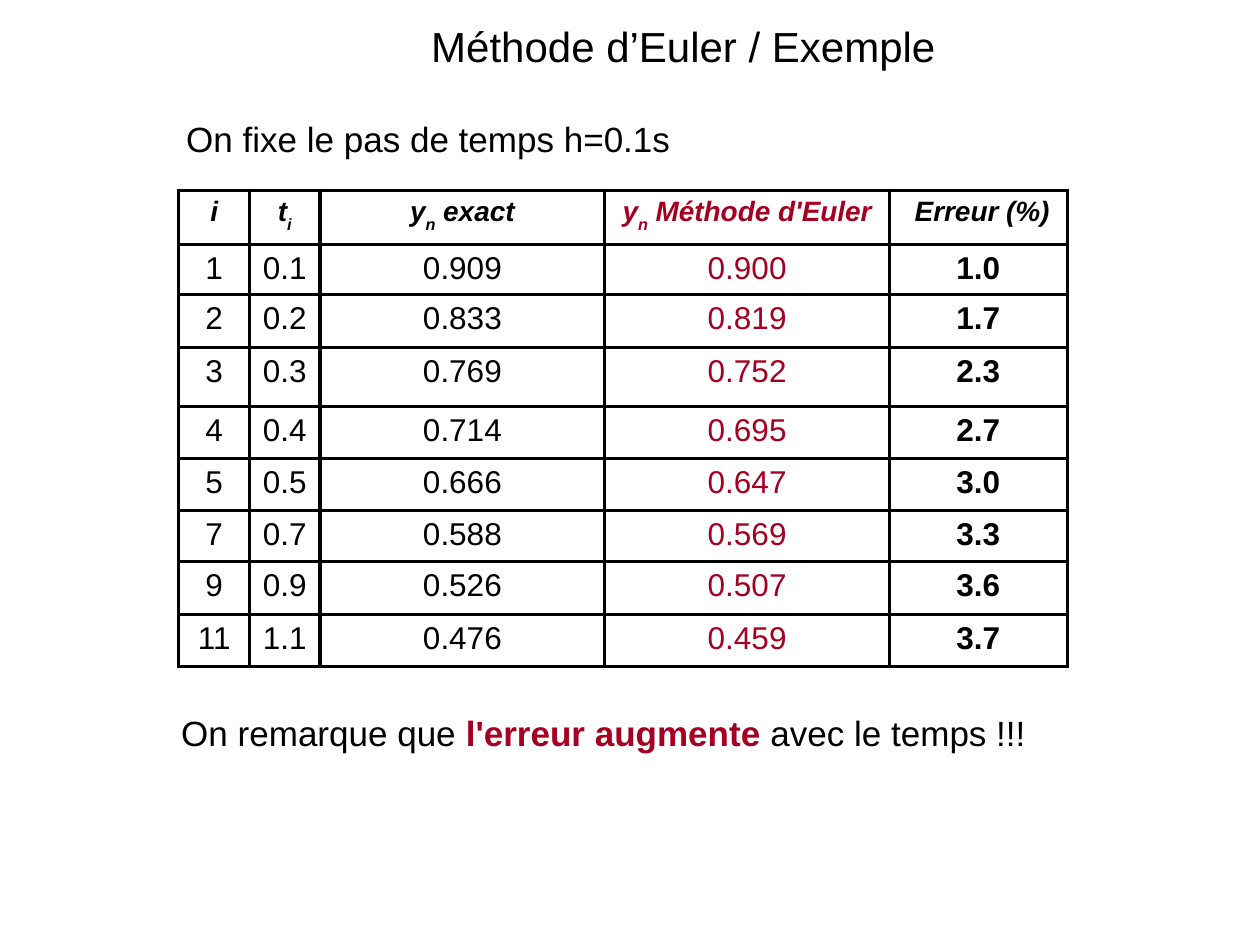
import pptx
import pptx.dml.color
import pptx.enum.text
import pptx.oxml
import pptx.oxml.ns
import pptx.util
from pptx.util import Inches

FONT = "Arial"
BLACK = "000000"
RED = "A50021"
ALIGN = pptx.enum.text.PP_ALIGN
ANCHOR = pptx.enum.text.MSO_ANCHOR

COLUMN_WIDTHS = [0.56, 0.56, 2.26, 2.26, 1.41]
ROW_HEIGHTS = [0.43, 0.4, 0.42, 0.47, 0.41, 0.41, 0.41, 0.42, 0.41]
EULER_COLUMN, ERROR_COLUMN = 3, 4

# Each heading is a list of (text, is subscript)
HEADINGS = [
    [("i", False)],
    [("t", False), ("i", True)],
    [("y", False), ("n", True), (" exact", False)],
    [("y", False), ("n", True), (" Méthode d'Euler", False)],
    [(" Erreur (%)", False)],
]
VALUES = [
    ["1", "0.1", "0.909", "0.900", "1.0"],
    ["2", "0.2", "0.833", "0.819", "1.7"],
    ["3", "0.3", "0.769", "0.752", "2.3"],
    ["4", "0.4", "0.714", "0.695", "2.7"],
    ["5", "0.5", "0.666", "0.647", "3.0"],
    ["7", "0.7", "0.588", "0.569", "3.3"],
    ["9", "0.9", "0.526", "0.507", "3.6"],
    ["11", "1.1", "0.476", "0.459", "3.7"],
]


def rgb(color):
    return pptx.dml.color.RGBColor.from_string(color)


def add_run(paragraph, text, size, color=BLACK, bold=False, italic=False, subscript=False):
    run = paragraph.add_run()
    run.text = text
    run.font.name = FONT
    run.font.size = pptx.util.Pt(size)
    run.font.color.rgb = rgb(color)
    run.font.bold = bold
    run.font.italic = italic
    if subscript:
        run._r.get_or_add_rPr().set("baseline", "-30000")


def add_text_box(slide, left, top, width, height, alignment, anchor=ANCHOR.TOP):
    """Add an empty text box and return its first paragraph."""
    frame = slide.shapes.add_textbox(
        Inches(left), Inches(top), Inches(width), Inches(height)).text_frame
    frame.word_wrap = True
    frame.vertical_anchor = anchor
    paragraph = frame.paragraphs[0]
    paragraph.alignment = alignment
    return paragraph


def set_borders(cell, color=BLACK, width=2):
    properties = cell._tc.get_or_add_tcPr()
    for position, side in enumerate(("lnL", "lnR", "lnT", "lnB")):
        line = pptx.oxml.parse_xml(
            f'<a:{side} {pptx.oxml.ns.nsdecls("a")} w="{pptx.util.Pt(width)}">'
            f'<a:solidFill><a:srgbClr val="{color}"/></a:solidFill></a:{side}>')
        properties.insert(position, line)


def add_results_table(slide):
    shape = slide.shapes.add_table(
        len(ROW_HEIGHTS), len(COLUMN_WIDTHS), Inches(1.42), Inches(1.51),
        Inches(sum(COLUMN_WIDTHS)), Inches(sum(ROW_HEIGHTS)))
    table = shape.table
    table.first_row = False
    table.horz_banding = False
    for column, width in zip(table.columns, COLUMN_WIDTHS):
        column.width = Inches(width)
    for row, height in zip(table.rows, ROW_HEIGHTS):
        row.height = Inches(height)

    value_rows = [[[(value, False)] for value in row] for row in VALUES]
    for row_index, row in enumerate([HEADINGS] + value_rows):
        heading = row_index == 0
        for column_index, parts in enumerate(row):
            cell = table.cell(row_index, column_index)
            cell.fill.background()
            set_borders(cell)
            paragraph = cell.text_frame.paragraphs[0]
            paragraph.alignment = ALIGN.CENTER
            for text, subscript in parts:
                add_run(paragraph, text, 16 if heading else 18,
                        color=RED if column_index == EULER_COLUMN else BLACK,
                        bold=heading or column_index == ERROR_COLUMN,
                        italic=heading, subscript=subscript)


def main():
    presentation = pptx.Presentation()
    presentation.slide_width = Inches(10)
    presentation.slide_height = Inches(7.5)
    slide = presentation.slides.add_slide(presentation.slide_layouts[6])

    # Conclusion
    conclusion = add_text_box(slide, 1.34, 5.6, 7.13, 0.98, ALIGN.JUSTIFY)
    add_run(conclusion, "On remarque que ", 20)
    add_run(conclusion, "l'erreur augmente", 20, color=RED, bold=True)
    add_run(conclusion, " avec le temps !!!", 20)

    # Title
    title = add_text_box(slide, 1.81, 0.17, 7.32, 0.39, ALIGN.CENTER, ANCHOR.MIDDLE)
    add_run(title, "Méthode d’Euler / Exemple ", 24)

    # Time step
    time_step = add_text_box(slide, 1.38, 0.88, 7.13, 0.98, ALIGN.JUSTIFY)
    add_run(time_step, "On fixe le pas de temps h=0.1s", 20)

    # Exact values against Euler's method
    add_results_table(slide)

    presentation.save("out.pptx")


if __name__ == "__main__":
    main()
